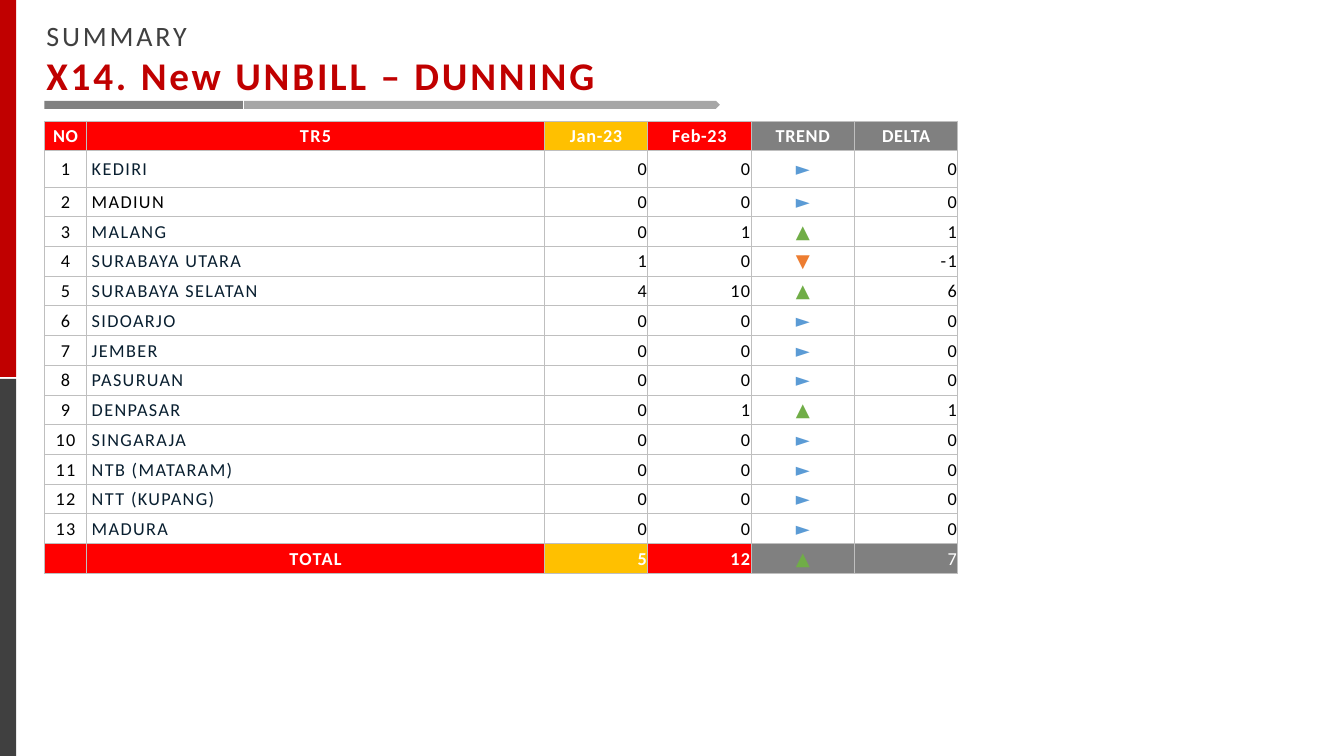
"""Build the summary slide for unbilled dunning per region."""
from lxml.etree import SubElement
from pptx import Presentation
from pptx.dml.color import RGBColor
from pptx.enum.shapes import MSO_SHAPE
from pptx.enum.text import MSO_ANCHOR, MSO_AUTO_SIZE, PP_ALIGN
from pptx.oxml.ns import qn
from pptx.util import Inches, Pt

WHITE = RGBColor(0xFF, 0xFF, 0xFF)
BLACK = RGBColor(0x00, 0x00, 0x00)
NAVY = RGBColor(0x09, 0x1F, 0x30)
DARK_RED = RGBColor(0xC0, 0x00, 0x00)
RED = RGBColor(0xFF, 0x00, 0x00)
AMBER = RGBColor(0xFF, 0xC0, 0x00)
CHARCOAL = RGBColor(0x40, 0x40, 0x40)
GRAY = RGBColor(0x80, 0x80, 0x80)
LIGHT_GRAY = RGBColor(0xA6, 0xA6, 0xA6)
BORDER = RGBColor(0xBF, 0xBF, 0xBF)
BLUE = RGBColor(0x5B, 0x9B, 0xD5)
GREEN = RGBColor(0x70, 0xAD, 0x47)
ORANGE = RGBColor(0xED, 0x7D, 0x31)

LEFT, CENTER, RIGHT = PP_ALIGN.LEFT, PP_ALIGN.CENTER, PP_ALIGN.RIGHT
HEADERS = ["NO", "TR5", "Jan-23", "Feb-23", "TREND", "DELTA"]
HEADER_FILLS = [RED, RED, AMBER, RED, GRAY, GRAY]
HEADER_SPACING = [0.5, 1, 0.5, 0.5, 0.5, 0.5]
BODY_ALIGNS = [CENTER, LEFT, RIGHT, RIGHT, CENTER, RIGHT]
REGIONS = [
    ("KEDIRI", 0, 0),
    ("MADIUN", 0, 0),
    ("MALANG", 0, 1),
    ("SURABAYA UTARA", 1, 0),
    ("SURABAYA SELATAN", 4, 10),
    ("SIDOARJO", 0, 0),
    ("JEMBER", 0, 0),
    ("PASURUAN", 0, 0),
    ("DENPASAR", 0, 1),
    ("SINGARAJA", 0, 0),
    ("NTB (MATARAM)", 0, 0),
    ("NTT (KUPANG)", 0, 0),
    ("MADURA", 0, 0),
]


def trend(delta):
    """Return the trend symbol and its colour."""
    if delta > 0:
        return "▲", GREEN
    return ("▼", ORANGE) if delta < 0 else ("►", BLUE)


class SummarySlide:
    """Holds the text style and the slide being drawn."""

    font_name = "Calibri"
    table_size = 13

    def __init__(self, presentation):
        self.slide = presentation.slides.add_slide(presentation.slide_layouts[5])

    def format_run(self, run, size, color, bold, spacing):
        """Apply font, colour and letter spacing to a run."""
        font = run.font
        font.name, font.size, font.bold = self.font_name, Pt(size), bold
        font.color.rgb = color
        run._r.get_or_add_rPr().set("spc", str(int(spacing * 100)))

    def title(self, lines, left, top, width, height):
        """Place the title; each line is text, size, colour and weight."""
        shape = self.slide.shapes.title
        shape.left, shape.top = Inches(left), Inches(top)
        shape.width, shape.height = Inches(width), Inches(height)
        frame = shape.text_frame
        frame.text = "\n".join(line[0] for line in lines)
        frame.word_wrap = False
        frame.auto_size = MSO_AUTO_SIZE.SHAPE_TO_FIT_TEXT
        frame.vertical_anchor = MSO_ANCHOR.TOP
        for paragraph, (_, size, color, bold) in zip(frame.paragraphs, lines):
            paragraph.alignment = LEFT
            self.format_run(paragraph.runs[0], size, color, bold, 2)

    def bar(self, left, top, width, height, color, kind=MSO_SHAPE.RECTANGLE):
        """Draw a plain filled bar."""
        shape = self.slide.shapes.add_shape(
            kind, Inches(left), Inches(top), Inches(width), Inches(height))
        shape.shadow.inherit = False
        shape.fill.solid()
        shape.fill.fore_color.rgb = color
        shape.line.fill.background()

    def table(self, left, top, widths, heights):
        """Add an unstyled table with the given column widths and row heights."""
        table = self.slide.shapes.add_table(
            len(heights), len(widths), Inches(left), Inches(top),
            Inches(sum(widths)), Inches(sum(heights))).table
        table.first_row = table.horz_banding = False
        for column, width in zip(table.columns, widths):
            column.width = Inches(width)
        for row, height in zip(table.rows, heights):
            row.height = Inches(height)
        return table

    def cell(self, cell, text, color, align, fill=None, bold=False, spacing=1.0, indent=0.01):
        """Fill, border and write one table cell."""
        properties = cell._tc.get_or_add_tcPr()
        for side in ("a:lnL", "a:lnR", "a:lnT", "a:lnB"):
            line = SubElement(properties, qn(side), w=str(int(Pt(0.75))))
            solid = SubElement(line, qn("a:solidFill"))
            SubElement(solid, qn("a:srgbClr"), val=str(BORDER))
        if fill is None:
            cell.fill.background()
        else:
            cell.fill.solid()
            cell.fill.fore_color.rgb = fill
        cell.vertical_anchor = MSO_ANCHOR.MIDDLE
        cell.margin_left = Inches(indent)
        cell.margin_right = cell.margin_top = Inches(0.01)
        cell.margin_bottom = 0
        if text:
            cell.text_frame.text = text
            paragraph = cell.text_frame.paragraphs[0]
            paragraph.alignment = align
            self.format_run(paragraph.runs[0], self.table_size, color, bold, spacing)
        else:
            paragraph = cell.text_frame.paragraphs[0]
            SubElement(paragraph._p, qn("a:endParaRPr"), sz=str(self.table_size * 100))

    def region_table(self):
        """Write the header, the regions and the total."""
        value_width = (9.06 - 0.42 - 4.54) / 4
        row_height = (4.49 - 0.36) / 14
        table = self.table(
            0.44, 1.2, [0.42, 4.54] + [value_width] * 4,
            [row_height, 0.36] + [row_height] * 13)

        for column, text in enumerate(HEADERS):
            self.cell(table.cell(0, column), text, WHITE, CENTER,
                      HEADER_FILLS[column], True, HEADER_SPACING[column])

        for number, (name, january, february) in enumerate(REGIONS, 1):
            delta = february - january
            symbol, symbol_color = trend(delta)
            name_color = BLACK if name == "MADIUN" else NAVY
            texts = [str(number), name, str(january), str(february), symbol, str(delta)]
            colors = [BLACK, name_color, BLACK, BLACK, symbol_color, BLACK]
            for column, text in enumerate(texts):
                self.cell(table.cell(number, column), text, colors[column],
                          BODY_ALIGNS[column], indent=0.05 if column == 1 else 0.01)

        january = sum(region[1] for region in REGIONS)
        february = sum(region[2] for region in REGIONS)
        symbol, symbol_color = trend(february - january)
        texts = ["", "TOTAL", str(january), str(february), symbol, str(february - january)]
        for column, text in enumerate(texts):
            self.cell(table.cell(len(REGIONS) + 1, column), text,
                      symbol_color if column == 4 else WHITE,
                      CENTER if column == 1 else BODY_ALIGNS[column],
                      HEADER_FILLS[column], column < 4)


def main():
    """Build and save the presentation."""
    presentation = Presentation()
    presentation.slide_width, presentation.slide_height = Inches(13.33), Inches(7.5)
    summary = SummarySlide(presentation)
    summary.bar(0, 3.76, 0.16, 3.74, CHARCOAL)
    summary.bar(0, 0, 0.16, 3.74, DARK_RED)
    summary.title([("SUMMARY", 20, CHARCOAL, False),
                   ("X14. New UNBILL – DUNNING", 28, DARK_RED, True)],
                  0.36, 0.13, 5.74, 0.91)
    summary.bar(2.42, 1, 4.72, 0.08, LIGHT_GRAY, MSO_SHAPE.PENTAGON)
    summary.bar(0.44, 1, 1.97, 0.08, GRAY)
    summary.region_table()
    presentation.save("out.pptx")


if __name__ == "__main__":
    main()
